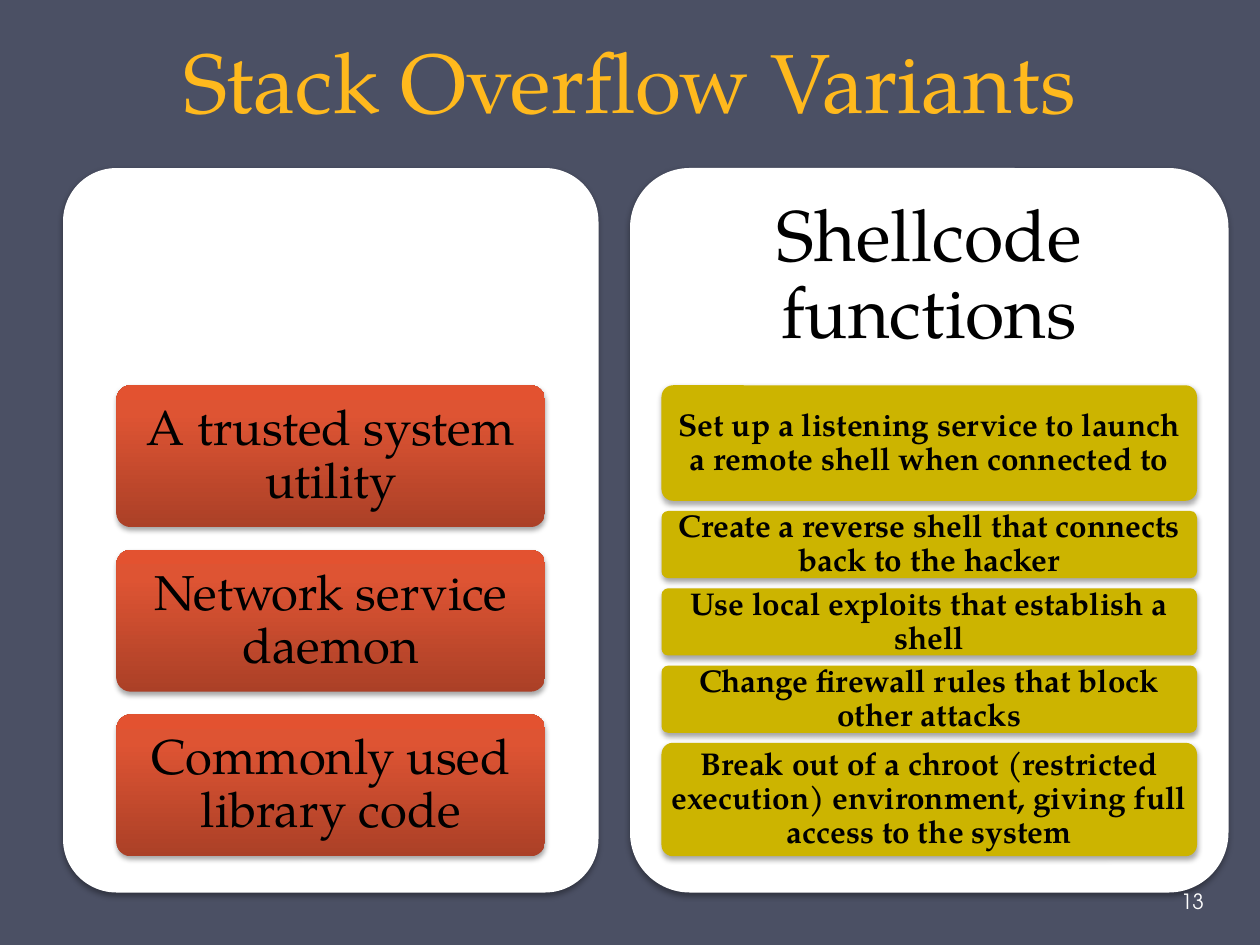
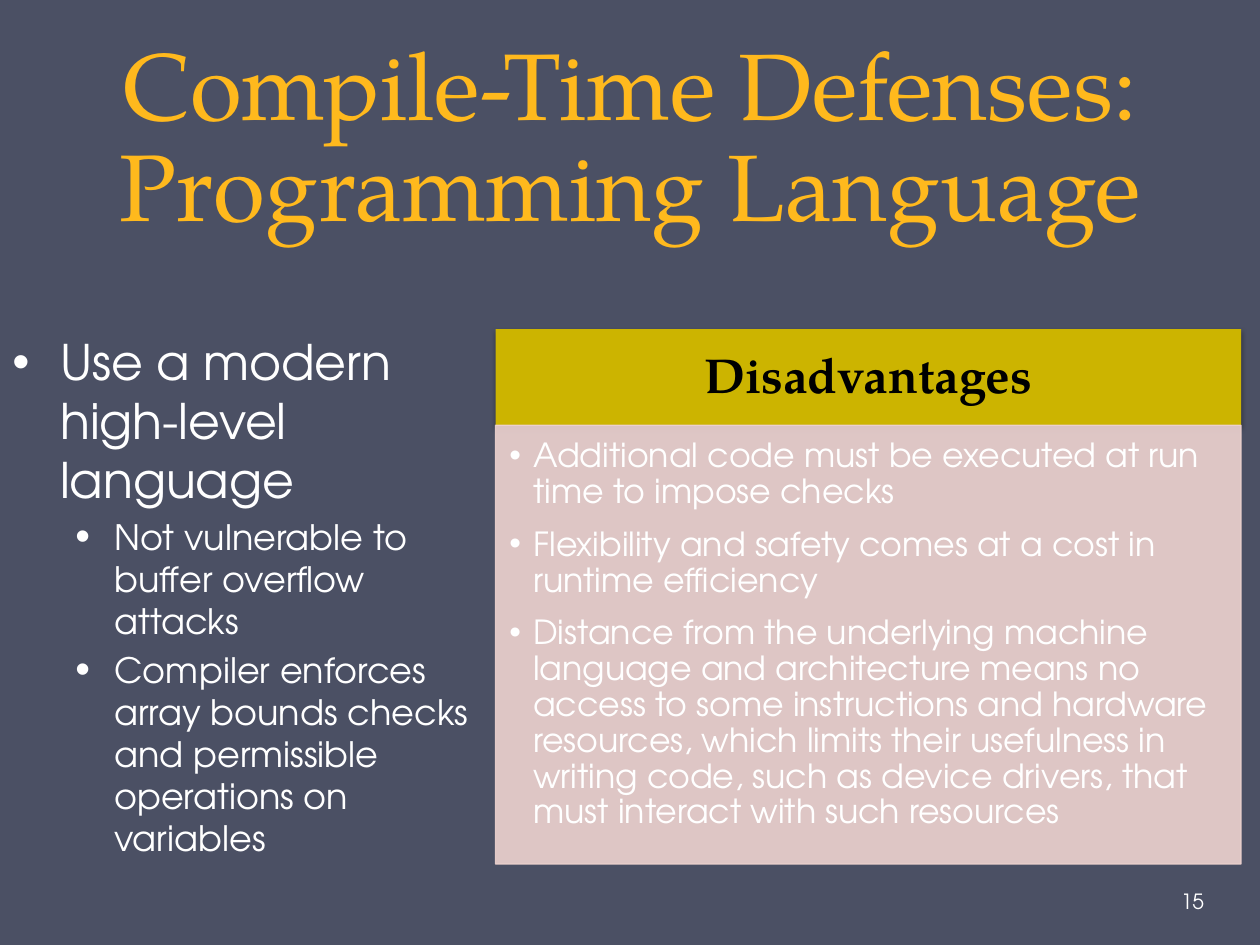
from dataclasses import dataclass
from copy import deepcopy

from lxml.etree import SubElement
from pptx import Presentation
from pptx.dml.color import RGBColor as RGB
from pptx.enum.shapes import MSO_SHAPE as Preset
from pptx.enum.text import MSO_ANCHOR as Anchor, PP_ALIGN as Align
from pptx.oxml.ns import qn
from pptx.util import Inches, Pt


@dataclass(frozen=True)
class Theme:
    backdrop: str = "4B5064"
    gold: str = "FFB91D"
    mustard: str = "CCB400"
    blush: str = "EED3D0"
    white: str = "FFFFFF"
    black: str = "000000"
    ember: tuple = ((0, "AB4027"), (0.8, "DE5433"), (1, "E35230"))
    serif: str = "TeX Gyre Pagella"
    sans: str = "TeX Gyre Adventor"
    panel_title: int = 41
    heading: int = 28
    list_item: int = 19
    sub_item: int = 20
    card_small: int = 18
    number: int = 12


theme = Theme()

# Grid: 120 columns by 90 rows, twelve cells to the inch
deck = Presentation()
deck.slide_width, deck.slide_height = Inches(10), Inches(7.5)
cell = deck.slide_width / 120


def place(slide, box, preset=None, fill=None, shadow=True):
    """Put a shape, or a text box when no preset is given, on the grid."""
    spot = [round(cell * length) for length in box]
    if preset is None:
        return slide.shapes.add_textbox(*spot)
    shape = slide.shapes.add_shape(preset, *spot)
    if preset == Preset.ROUNDED_RECTANGLE:
        shape.adjustments[0] = 0.1
    shape.line.fill.background()
    if isinstance(fill, str):
        shape.fill.solid()
        shape.fill.fore_color.rgb = RGB.from_string(fill)
    else:
        shape.fill.gradient()
        shape.fill.gradient_angle = 90
        stops = shape.element.spPr.find(qn("a:gradFill")).find(qn("a:gsLst"))
        stops.append(deepcopy(stops[-1]))
        for stop, (position, color) in zip(shape.fill.gradient_stops, fill):
            stop.position = position
            stop.color.rgb = RGB.from_string(color)
    shape.shadow.inherit = False
    if shadow:
        effects = shape.element.spPr.find(qn("a:effectLst"))
        outer = SubElement(effects, qn("a:outerShdw"), blurRad=str(Pt(3.1)),
                           dist=str(Pt(1.8)), dir="5400000", rotWithShape="0")
        tint = SubElement(outer, qn("a:srgbClr"), val=theme.black)
        SubElement(tint, qn("a:alpha"), val="35000")
    return shape


def write(shape, lines, size, color, font=theme.serif, bold=False, align=Align.CENTER,
          anchor=Anchor.MIDDLE, insets=(0.1, 0.05, 0.1, 0.05), spacing=0.9):
    """Fill a shape with one paragraph per line and return the paragraphs."""
    frame = shape.text_frame
    frame.word_wrap, frame.vertical_anchor = True, anchor
    (frame.margin_left, frame.margin_top,
     frame.margin_right, frame.margin_bottom) = map(Inches, insets)
    for index, line in enumerate(lines):
        paragraph = frame.add_paragraph() if index else frame.paragraphs[0]
        paragraph.text = line
        paragraph.alignment, paragraph.line_spacing = align, spacing
        for run in paragraph.runs:
            run.font.name, run.font.size, run.font.bold = font, Pt(size), bold
            run.font.color.rgb = RGB.from_string(color)
    return frame.paragraphs


# Backdrop, title and number of each slide
openings = (
    ("Stack Overflow Variants", 48, (0, -4, 120, 17), "13"),
    ("Compile-Time Defenses:\nProgramming Language", 54, (6, 2.5, 108, 21), "15"),
)
slides = []
for title, title_size, title_box, number in openings:
    slide = deck.slides.add_slide(deck.slide_layouts[6])
    slide.background.fill.solid()
    slide.background.fill.fore_color.rgb = RGB.from_string(theme.backdrop)
    write(place(slide, title_box), [title], title_size, theme.gold,
          anchor=Anchor.BOTTOM, spacing=Pt(58))
    slides.append((slide, number))
(variants, _), (defenses, _) = slides

# Stack overflow variants: two panels of stacked cards
panel_top, panel_height = 16, 69
cards_top, cards_height = panel_top + 0.3 * panel_height, 0.65 * panel_height
panels = (
    dict(left=6, width=51, margin=5.1, heading=None, fill=theme.ember,
         size=theme.heading, bold=False, insets=(0.08, 0.06, 0.08, 0.06),
         cards=(("A trusted system utility", 13.5),
                ("Network service daemon", 13.5),
                ("Commonly used library code", 13.5))),
    dict(left=60, width=57, margin=3, heading="Shellcode functions", fill=theme.mustard,
         size=theme.card_small, bold=True, insets=(0.05, 0.04, 0.05, 0.04),
         cards=(("Set up a listening service to launch a remote shell when connected to", 11),
                ("Create a reverse shell that connects back to the hacker", 6.4),
                ("Use local exploits that establish a shell", 6.4),
                ("Change firewall rules that block other attacks", 6.4),
                ("Break out of a chroot (restricted execution) environment, "
                 "giving full access to the system", 10.8))),
)
for panel in panels:
    left, width, margin, cards = (panel[key] for key in ("left", "width", "margin", "cards"))
    place(variants, (left, panel_top, width, panel_height),
          Preset.ROUNDED_RECTANGLE, theme.white)
    if panel["heading"]:
        write(place(variants, (left, panel_top, width, cards_top - panel_top)),
              [panel["heading"]], theme.panel_title, theme.black, insets=(0.17,) * 4)
    gap = (cards_height - sum(height for _, height in cards)) / (len(cards) - 1)
    top = cards_top
    for wording, height in cards:
        card = place(variants, (left + margin, top, width - 2 * margin, height),
                     Preset.ROUNDED_RECTANGLE, panel["fill"])
        write(card, [wording], panel["size"], theme.black,
              bold=panel["bold"], insets=panel["insets"])
        top += height + gap

# Compile-time defenses: advice on the left
advice = write(place(defenses, (0, 31, 48.7, 55.2)), [
    "Use a modern high-level language",
    "Not vulnerable to buffer overflow attacks",
    "Compiler enforces array bounds checks and permissible operations on variables",
], theme.sub_item, theme.white, theme.sans, align=Align.LEFT, anchor=Anchor.TOP, spacing=1.0)
advice[0].runs[0].font.size = Pt(theme.heading)
for point in advice:
    point.space_before = Pt(point.runs[0].font.size.pt * 0.2)
for point in advice[1:]:
    point.level = 1

# Disadvantages: header band above a translucent list
band_left, band_top, band_width, band_height = 47.2, 31.35, 71, 9.15
header = place(defenses, (band_left, band_top, band_width, band_height),
               Preset.RECTANGLE, theme.mustard)
write(header, ["Disadvantages"], theme.heading, theme.black, bold=True,
      insets=(0.22, 0.12, 0.22, 0.12))
drawbacks = place(defenses, (band_left, band_top + band_height, band_width, 41.8),
                  Preset.RECTANGLE, theme.blush, shadow=False)
drawbacks.line.color.rgb = RGB.from_string(theme.blush)
drawbacks.line.width = Pt(0.75)
for tint in drawbacks.element.spPr.iter(qn("a:srgbClr")):
    SubElement(tint, qn("a:alpha"), val="90000")
costs = write(drawbacks, [
    "Additional code must be executed at run time to impose checks",
    "Flexibility and safety comes at a cost in runtime efficiency",
    "Distance from the underlying machine language and architecture means no access to "
    "some instructions and hardware resources, which limits their usefulness in writing "
    "code, such as device drivers, that must interact with such resources",
], theme.list_item, theme.white, theme.sans, align=Align.LEFT, anchor=Anchor.TOP,
    insets=(0.11, 0.11, 0.15, 0.17))
for cost in costs:
    cost.level, cost.space_after = 1, Pt(9.4)

# Bullets: left margin, hanging indent and bullet size in percent
bullets = ((advice[:1], 0.38, 0.38, 100), (advice[1:], 0.81, 0.31, 120),
           (costs, 0.19, 0.19, 100))
for points, margin, hang, percent in bullets:
    for point in points:
        layout = point._p.get_or_add_pPr()
        layout.set("marL", str(Inches(margin)))
        layout.set("indent", str(-Inches(hang)))
        SubElement(layout, qn("a:buSzPct"), val=str(percent * 1000))
        SubElement(layout, qn("a:buFont"), typeface="Arial")
        SubElement(layout, qn("a:buChar"), char="•")

# Slide numbers, in front of everything else
for slide, number in slides:
    write(place(slide, (112.1, 83.4, 7.3, 4.8)), [number], theme.number, theme.white,
          theme.sans, align=Align.LEFT, insets=(0.03, 0.05, 0.05, 0.05), spacing=1.0)

deck.save("out.pptx")
